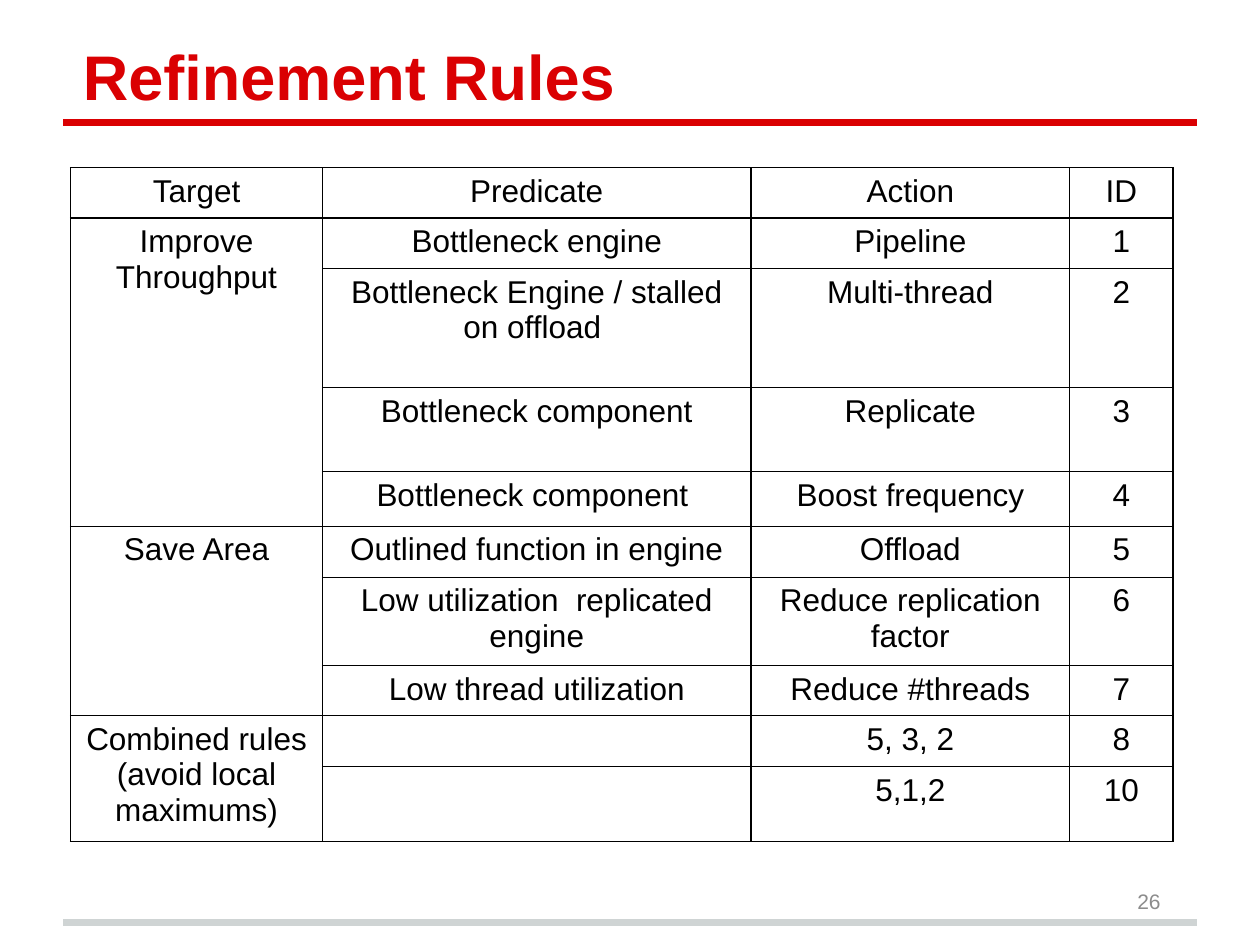
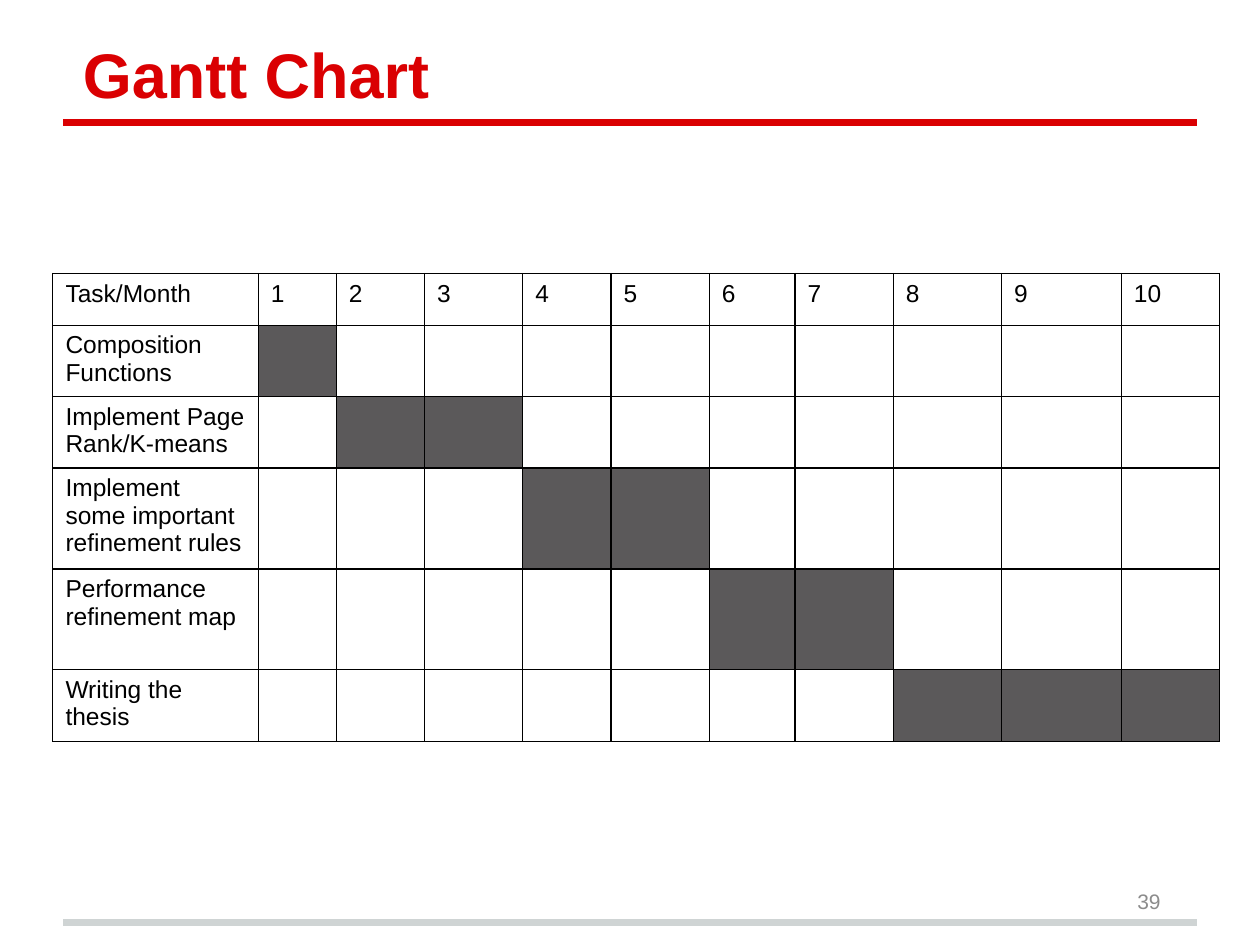
from dataclasses import dataclass, field

from lxml.etree import SubElement
from pptx import Presentation
from pptx.dml.color import RGBColor
from pptx.enum.shapes import MSO_CONNECTOR as Connector
from pptx.enum.text import MSO_ANCHOR as Anchor, PP_ALIGN as Align
from pptx.oxml.ns import qn
from pptx.slide import Slide
from pptx.table import _Cell as Cell
from pptx.util import Emu, Inches, Pt

# Shared look
COLOURS = {
    "accent": "DA0002",
    "footer": "CFD4D4",
    "page": "8C8C8C",
    "ink": "000000",
    "busy": "5B595A",
}
FONT = "Arial"
COLUMNS, ROWS = 100, 75  # square grid units covering the slide
MARGIN = 5


@dataclass(frozen=True)
class Band:
    row: float
    colour: str


@dataclass(frozen=True)
class TextStyle:
    size: int
    colour: str = "ink"
    bold: bool = False
    align: Align = Align.LEFT


@dataclass(frozen=True)
class Box:
    left: float
    top: float
    width: float
    height: float


@dataclass(frozen=True)
class Grid:
    left: float
    top: float
    widths: list[float]
    heights: list[float]
    rows: list[list[str]]
    style: TextStyle
    merges: list[tuple[int, int]] = field(default_factory=list)  # first and last row, column 0
    busy: set[tuple[int, int]] = field(default_factory=set)  # shaded (row, column) cells


@dataclass(frozen=True)
class Page:
    title: str
    title_box: Box
    number: int
    grid: Grid


BANDS = [Band(73.2, "footer"), Band(9.7, "accent")]
TITLE = TextStyle(36, "accent", bold=True)
NUMBER = TextStyle(12, "page", align=Align.RIGHT)
NUMBER_BOX = Box(70.6, 69.5, 22.5, 4)


def units(count: float) -> Emu:
    return Inches(count / 10)


def colour(name: str) -> RGBColor:
    return RGBColor.from_string(COLOURS[name])


def write(frame, text: str, style: TextStyle) -> None:
    frame.text = text
    paragraph = frame.paragraphs[0]
    paragraph.alignment = style.align
    for run in paragraph.runs:
        run.font.name, run.font.size, run.font.bold = FONT, Pt(style.size), style.bold
        run.font.color.rgb = colour(style.colour)


def draw_band(slide: Slide, band: Band) -> None:
    row = units(band.row)
    rule = slide.shapes.add_connector(
        Connector.STRAIGHT, units(MARGIN), row, units(COLUMNS - MARGIN), row)
    rule.line.color.rgb = colour(band.colour)
    rule.line.width = Pt(4)
    SubElement(rule._element.spPr, qn("a:effectLst"))


def draw_text(slide: Slide, box: Box, text: str, style: TextStyle, anchor: Anchor):
    place = map(units, (box.left, box.top, box.width, box.height))
    frame = slide.shapes.add_textbox(*place).text_frame
    frame.word_wrap = True
    frame.vertical_anchor = anchor
    write(frame, text, style)
    return frame


def draw_title(slide: Slide, page: Page) -> None:
    frame = draw_text(slide, page.title_box, page.title, TITLE, Anchor.BOTTOM)
    frame.margin_left = frame.margin_right = frame.margin_top = frame.margin_bottom = units(1)
    properties = frame.paragraphs[0]._p.get_or_add_pPr()
    properties.set("marL", "0")
    properties.set("indent", str(units(2.5)))


def add_borders(cell: Cell) -> None:
    properties = cell._tc.get_or_add_tcPr()
    for side in ("lnL", "lnR", "lnT", "lnB"):
        edge = SubElement(properties, qn(f"a:{side}"), w=str(Pt(0.75)))
        SubElement(SubElement(edge, qn("a:solidFill")), qn("a:srgbClr"), val=COLOURS["ink"])


def draw_grid(slide: Slide, grid: Grid) -> None:
    table = slide.shapes.add_table(
        len(grid.heights), len(grid.widths), units(grid.left), units(grid.top),
        units(sum(grid.widths)), units(sum(grid.heights))).table
    table.first_row = table.horz_banding = False
    for column, width in zip(table.columns, grid.widths):
        column.width = units(width)
    for row, height in zip(table.rows, grid.heights):
        row.height = units(height)
    for r, texts in enumerate(grid.rows):
        for c, text in enumerate(texts):
            cell = table.cell(r, c)
            write(cell.text_frame, text, grid.style)
            add_borders(cell)
            if (r, c) in grid.busy:
                cell.fill.solid()
                cell.fill.fore_color.rgb = colour("busy")
            else:
                cell.fill.background()
    for first, last in grid.merges:
        table.cell(first, 0).merge(table.cell(last, 0))


# Refinement rules: each target with its (predicate, action, id) rules
TARGETS = {
    "Improve Throughput": [
        ("Bottleneck engine", "Pipeline", "1"),
        ("Bottleneck Engine / stalled on offload ", "Multi-thread", "2"),
        ("Bottleneck component", "Replicate", "3"),
        ("Bottleneck component ", "Boost frequency", "4"),
    ],
    "Save Area": [
        ("Outlined function in engine", "Offload", "5"),
        ("Low utilization  replicated engine", "Reduce replication factor", "6"),
        ("Low thread utilization", "Reduce #threads", "7"),
    ],
    "Combined rules (avoid local maximums)": [
        ("", "5, 3, 2", "8"),
        ("", "5,1,2", "10"),
    ],
}


def rules_grid() -> Grid:
    rows = [["Target", "Predicate", "Action", "ID"]]
    merges = []
    for target, rules in TARGETS.items():
        merges.append((len(rows), len(rows) + len(rules) - 1))
        rows += [[target if i == 0 else "", *rule] for i, rule in enumerate(rules)]
    return Grid(5.6, 13.3, [20, 34, 25.3, 8.2],
                [3.85, 3.85, 9.45, 6.65, 4.35, 4.05, 6.6, 3.85, 4, 5.4],
                rows, TextStyle(18, align=Align.CENTER), merges=merges)


# Gantt chart: each task with its first and last month
MONTHS = range(1, 11)
TASKS = {
    "Composition Functions": (1, 1),
    "Implement Page Rank/K-means": (2, 3),
    "Implement some important refinement rules": (4, 5),
    "Performance refinement map": (6, 7),
    "Writing the thesis": (8, 10),
}


def gantt_grid() -> Grid:
    rows = [["Task/Month", *map(str, MONTHS)]]
    rows += [[task] + [""] * len(MONTHS) for task in TASKS]
    busy = {(row, month) for row, (start, end) in enumerate(TASKS.values(), 1)
            for month in range(start, end + 1)}
    return Grid(4.2, 21.7, [16.3, 6.2, 7, 7.8, 7, 7.8, 6.8, 7.8, 8.6, 9.5, 7.8],
                [4.1, 5.65, 5.65, 8, 8, 5.7], rows, TextStyle(14), busy=busy)


def main() -> None:
    deck = Presentation()
    deck.slide_width, deck.slide_height = units(COLUMNS), units(ROWS)
    pages = [
        Page("Refinement Rules", Box(3.1, 5, 90, 5), 26, rules_grid()),
        Page("Gantt Chart", Box(3.1, 1.7, 90, 8.1), 39, gantt_grid()),
    ]
    for page in pages:
        slide = deck.slides.add_slide(deck.slide_layouts[6])
        for band in BANDS:
            draw_band(slide, band)
        draw_title(slide, page)
        draw_grid(slide, page.grid)
        draw_text(slide, NUMBER_BOX, str(page.number), NUMBER, Anchor.MIDDLE)
    deck.save("out.pptx")


if __name__ == "__main__":
    main()
